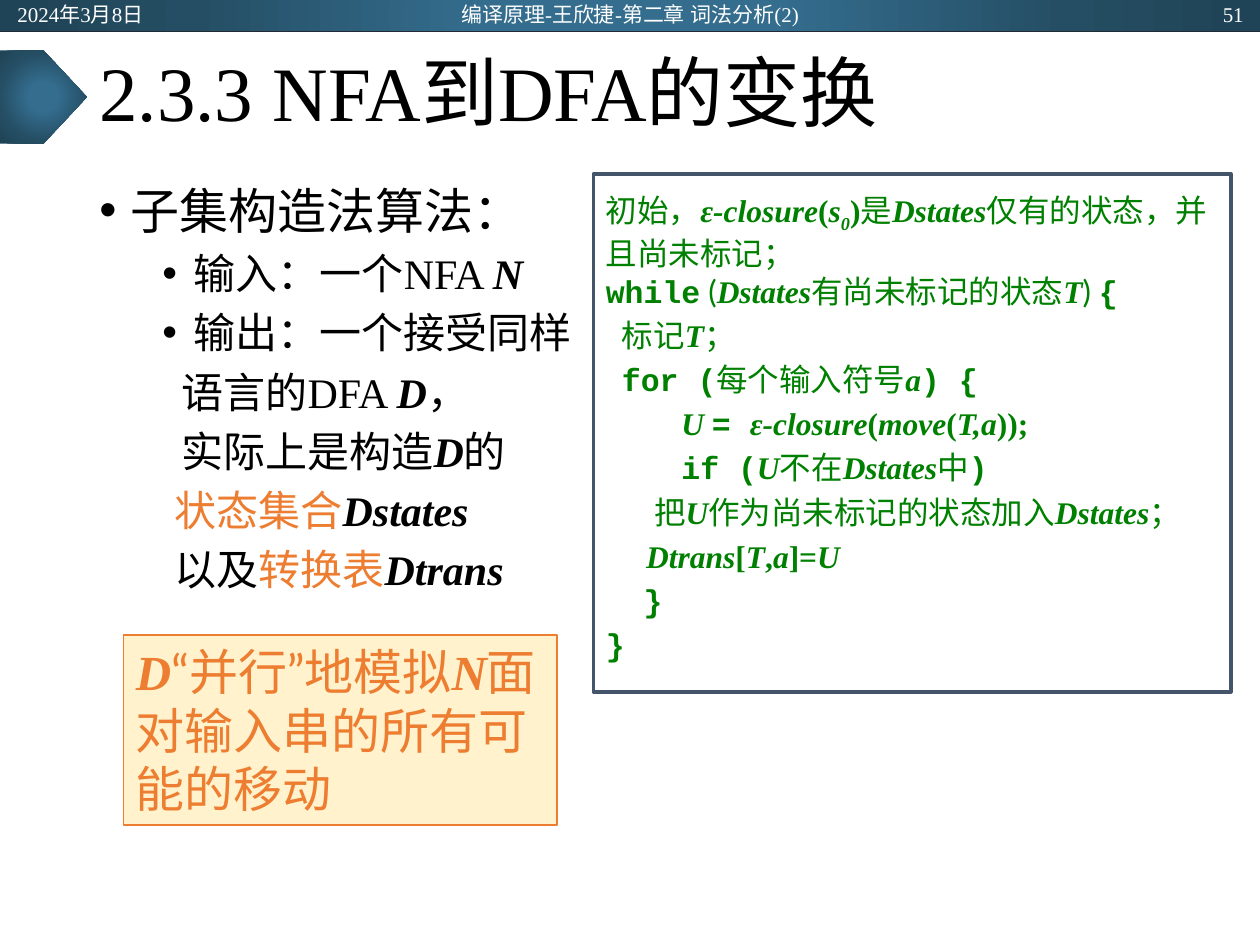
from typing import NamedTuple

import pptx
import pptx.dml.color
import pptx.enum.lang
import pptx.enum.shapes
import pptx.enum.text
import pptx.oxml
import pptx.oxml.ns
import pptx.util

Pt = pptx.util.Pt
SHAPE = pptx.enum.shapes.MSO_SHAPE
ALIGN = pptx.enum.text.PP_ALIGN
ANCHOR = pptx.enum.text.MSO_ANCHOR
qn = pptx.oxml.ns.qn

SERIF, MONO, SANS, CJK = "Times New Roman", "Courier New", "Lato", "Noto Sans CJK SC"
BLACK, WHITE, GREEN, ORANGE = "000000", "FFFFFF", "008000", "ED7D31"
GRADIENT = [(0, "346D8E"), (23, "346D8E"), (69, "254E64"), (97, "204457")]


class Run(NamedTuple):
    text: str
    font: str = SERIF
    bold: bool = False
    italic: bool = False
    color: str = ""
    baseline: int = 0


class Para(NamedTuple):
    runs: list
    size: float
    color: str = BLACK
    left: float = 0
    bullet: bool = False
    before: float = 0
    align: ALIGN = ALIGN.LEFT
    spacing: float = 1.0


class Box(NamedTuple):
    x: float
    y: float
    w: float
    h: float


def rgb(value: str) -> pptx.dml.color.RGBColor:
    return pptx.dml.color.RGBColor.from_string(value)


def var(text: str) -> Run:
    return Run(text, bold=True, italic=True)


def strong(text: str) -> Run:
    return Run(text, bold=True)


def code(text: str) -> Run:
    return Run(text, MONO, bold=True)


def sans(text: str) -> Run:
    return Run(text, SANS)


def cjk(text: str) -> Run:
    return Run(text, CJK)


def write(sp, paras: list, anchor=ANCHOR.TOP) -> None:
    tf = sp.text_frame
    tf.word_wrap = True
    tf.vertical_anchor = anchor
    for i, para in enumerate(paras):
        p = tf.paragraphs[0] if i == 0 else tf.add_paragraph()
        p.alignment = para.align
        p.line_spacing = para.spacing
        p.space_before = Pt(para.before)
        pPr = p._p.get_or_add_pPr()
        pPr.set("marL", str(Pt(para.left)))
        pPr.set("indent", str(Pt(-18 if para.bullet else 0)))
        if para.bullet:
            pptx.oxml.ns  # bullet elements follow the spacing elements
            font = pPr.makeelement(qn("a:buFont"), {"typeface": "Arial"})
            char = pPr.makeelement(qn("a:buChar"), {"char": "•"})
            pPr.extend([font, char])
        for run in para.runs:
            r = p.add_run()
            r.text = run.text
            f = r.font
            f.size, f.name = Pt(para.size), run.font
            f.bold, f.italic = run.bold, run.italic
            f.language_id = pptx.enum.lang.MSO_LANGUAGE_ID.SIMPLIFIED_CHINESE
            f.color.rgb = rgb(run.color or para.color)
            rPr = r._r.get_or_add_rPr()
            latin = rPr.find(qn("a:latin"))
            latin.addnext(rPr.makeelement(qn("a:ea"), {"typeface": SANS}))
            if run.baseline:
                rPr.set("baseline", str(run.baseline * 1000))


def add_text(s, box: Box, paras: list, anchor=ANCHOR.TOP) -> None:
    write(s.shapes.add_textbox(*map(Pt, box)), paras, anchor)


def add_block(s, kind, box: Box, fill: str = "", line: str = "", width: float = 0):
    sp = s.shapes.add_shape(kind, *map(Pt, box))
    sp.shadow.inherit = False
    if fill:
        sp.fill.solid()
        sp.fill.fore_color.rgb = rgb(fill)
    else:
        sp.fill.background()
    if line:
        sp.line.color.rgb = rgb(line)
        sp.line.width = Pt(width)
    else:
        sp.line.fill.background()
    return sp


def add_glow(s, kind, box: Box) -> None:
    sp = add_block(s, kind, box)
    stops = "".join(f'<a:gs pos="{pos * 1000}"><a:srgbClr val="{c}"/></a:gs>'
                    for pos, c in GRADIENT)
    fill = pptx.oxml.parse_xml(
        f'<a:gradFill {pptx.oxml.ns.nsdecls("a")}><a:gsLst>{stops}</a:gsLst>'
        '<a:path path="circle"><a:fillToRect l="50000" t="50000" r="50000" b="50000"/>'
        '</a:path></a:gradFill>')
    spPr = sp._element.spPr
    spPr.replace(spPr.find(qn("a:noFill")), fill)


def main() -> None:
    prs = pptx.Presentation()
    prs.slide_width, prs.slide_height = Pt(720), Pt(540)
    s = prs.slides.add_slide(prs.slide_layouts[6])

    # Header band and title marker
    add_glow(s, SHAPE.RECTANGLE, Box(0, 0, 720, 18))
    rule = s.shapes.add_connector(pptx.enum.shapes.MSO_CONNECTOR.STRAIGHT,
                                  Pt(0), Pt(18), Pt(720), Pt(18))
    rule.line.color.rgb = rgb("222A35")
    rule.line.width = Pt(0.5)
    spPr = rule._element.spPr
    spPr.append(spPr.makeelement(qn("a:effectLst"), {}))
    add_glow(s, SHAPE.PENTAGON, Box(0, 28.8, 49.7, 53.3))

    # Title
    add_text(s, Box(49.7, 18, 620.6, 74.9),
             [Para([Run("2.3.3 NFA到DFA的变换")], 44, spacing=0.9)], ANCHOR.MIDDLE)

    # Algorithm input and output
    add_text(s, Box(49.7, 99.4, 620.6, 387.4), [
        Para([Run("子集构造法算法：")], 28, left=18, bullet=True),
        Para([Run("输入：一个NFA "), var("N")], 24, left=54, bullet=True, before=5),
        Para([Run("输出：一个接受同样")], 24, left=54, bullet=True, before=5),
        Para([Run("语言的DFA "), var("D"), Run("，")], 24, left=47, before=5),
        Para([Run("实际上是构造"), var("D"), Run("的")], 24, left=47, before=5),
        Para([Run("状态集合", color=ORANGE), var("Dstates")], 24, left=43, before=5),
        Para([Run("以及"), Run("转换表", color=ORANGE), var("Dtrans")],
             24, left=43, before=5),
    ])

    # Pseudocode and its frame
    opening = [
        [sans("初始，"), var("ε-closure"), strong("("), var("s"),
         Run("0", bold=True, italic=True, baseline=-25), strong(")"), cjk("是"),
         var("Dstates"), Run("仅有的状态，并且尚未标记；")],
        [code("while"), sans(" ("), var("Dstates"), sans("有尚未标记的状态"),
         var("T"), sans(") "), code("{")],
    ]
    steps = [
        [sans("  "), cjk("标记"), var("T"), cjk("；")],
        [sans("  "), code("for ("), sans("每个输入符号"), var("a"), code(") {")],
        [code("    "), var("U "), code("= "), var("ε-closure"), strong("("),
         var("move"), strong("("), var("T,a"), strong("));")],
        [code("    if ("), var("U"), sans("不在"), var("Dstates"), sans("中"), code(")")],
        [sans("      "), cjk("把"), var("U"), cjk("作为尚未标记的状态加入"),
         var("Dstates"), cjk("；")],
        [sans("     "), var("Dtrans"), strong("["), var("T"), strong(","), var("a"),
         strong("]="), var("U")],
        [code("  }")],
        [code("}")],
    ]
    add_text(s, Box(339.1, 105.8, 364.3, 282.2),
             [Para(runs, 18, GREEN) for runs in opening]
             + [Para(runs, 18, GREEN, before=3.6) for runs in steps])
    add_block(s, SHAPE.RECTANGLE, Box(339.1, 99.4, 364.3, 295.9), line="44546A", width=2)

    # Remark
    remark = add_block(s, SHAPE.RECTANGLE, Box(70.6, 362.9, 247.7, 108.7),
                       "FFF2CC", ORANGE, 1)
    write(remark, [Para([var("D"), Run("“并行”地模拟"), var("N"),
                         Run("面对输入串的所有可能的移动")], 28, ORANGE)])

    # Header texts
    for x, w, text, align in [
        (2.9, 162, "2024年3月8日", ALIGN.LEFT),
        (238.3, 243.4, "编译原理-王欣捷-第二章 词法分析(2)", ALIGN.CENTER),
        (555.8, 162, "51", ALIGN.RIGHT),
    ]:
        add_text(s, Box(x, 0.7, w, 14.4), [Para([Run(text)], 12, WHITE, align=align)],
                 ANCHOR.MIDDLE)

    prs.save("out.pptx")


if __name__ == "__main__":
    main()
